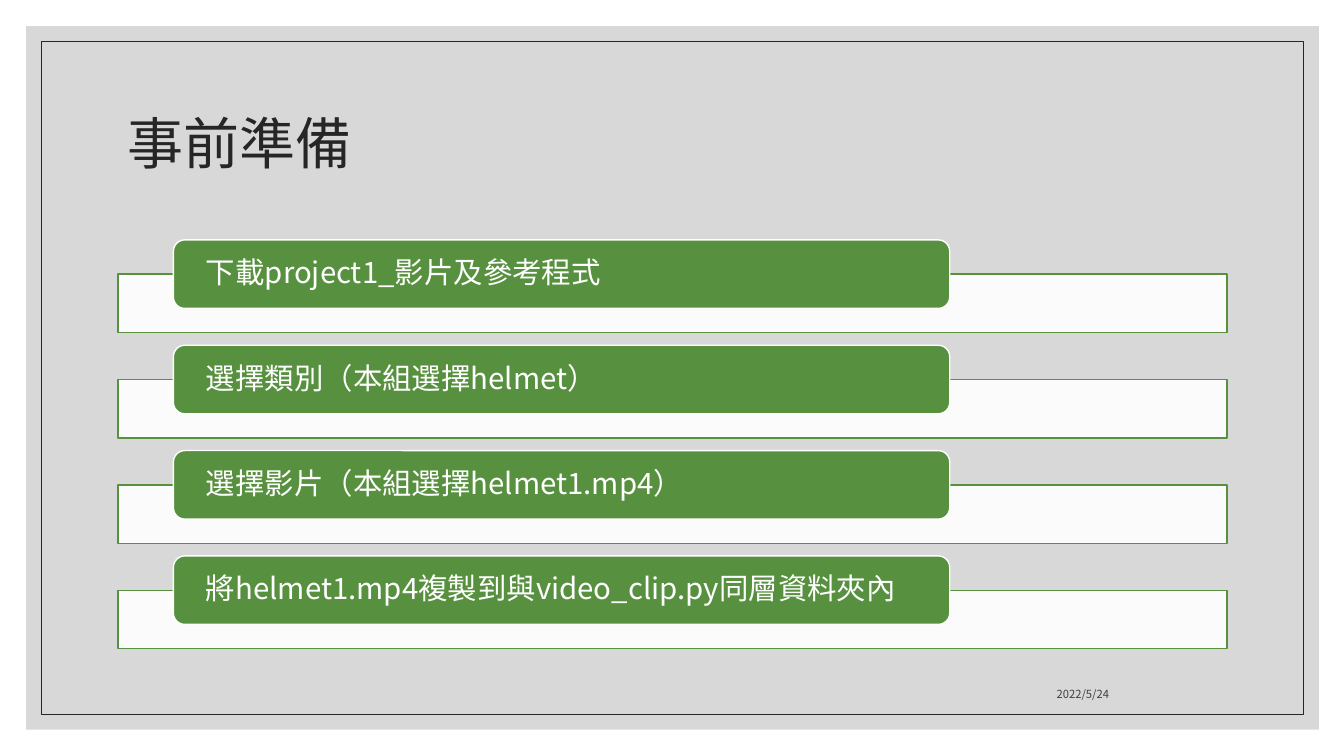
from lxml import etree
from pptx import Presentation
from pptx.dml.color import RGBColor
from pptx.enum.shapes import MSO_SHAPE
from pptx.enum.text import MSO_ANCHOR, PP_ALIGN
from pptx.oxml.ns import qn
from pptx.util import Inches, Pt

RECT = MSO_SHAPE.RECTANGLE
ROUNDED = MSO_SHAPE.ROUNDED_RECTANGLE
MIDDLE = MSO_ANCHOR.MIDDLE
BOTTOM = MSO_ANCHOR.BOTTOM
LEFT = PP_ALIGN.LEFT
RIGHT = PP_ALIGN.RIGHT

FONT_TC = "Noto Sans CJK TC"
FONT_SC = "Noto Sans CJK SC"
COLORS = {
    "panel": "BFBFBF",
    "frame": "262626",
    "date": "404040",
    "green": "57903F",
    "white": "FFFFFF",
}
STEPS = [
    "下載project1_影片及參考程式",
    "選擇類別（本組選擇helmet）",
    "選擇影片（本組選擇helmet1.mp4）",
    "將helmet1.mp4複製到與video_clip.py同層資料夾內",
]
STEP_TOP = 2.38
STEP_PITCH = 1.045


def rgb(name):
    """Return the named colour."""
    return RGBColor.from_string(COLORS[name])


def add_box(slide, kind, box, fill=None, line=None, width=1, opacity=100):
    """Add a preset shape with optional fill, outline and opacity."""
    sp = slide.shapes.add_shape(kind, *map(Inches, box))
    sp.shadow.inherit = False
    if fill:
        sp.fill.solid()
        sp.fill.fore_color.rgb = rgb(fill)
        if opacity < 100:
            color = sp.fill._xPr.find(qn("a:solidFill"))[0]
            etree.SubElement(color, qn("a:alpha"), val=str(opacity * 1000))
    else:
        sp.fill.background()
    if line:
        sp.line.color.rgb = rgb(line)
        sp.line.width = Pt(width)
    else:
        sp.line.fill.background()
    return sp


def write(sp, text, size, font, color, anchor=MIDDLE, align=LEFT):
    """Write one formatted paragraph into a shape and return it."""
    tf = sp.text_frame
    tf.word_wrap = True
    tf.vertical_anchor = anchor
    p = tf.paragraphs[0]
    p.alignment = align
    r = p.add_run()
    r.text = text
    r.font.size = Pt(size)
    r.font.name = font
    r.font.color.rgb = rgb(color)
    etree.SubElement(r.font._element, qn("a:ea"), typeface=font)
    return p


def add_step(slide, top, text):
    """Add a white bar with a green label overlapping its top edge."""
    add_box(slide, RECT, (1.17, top + 0.34, 11, 0.58), "white", "green", opacity=90)
    label = add_box(slide, ROUNDED, (1.72, top, 7.7, 0.68), "green", "white")
    tf = label.text_frame
    tf.margin_left = tf.margin_right = Inches(0.29)
    tf.margin_top = tf.margin_bottom = 0
    write(label, text, 21, FONT_SC, "white").line_spacing = 0.9


def main():
    """Build the preparation slide."""
    prs = Presentation()
    prs.slide_width = Inches(13.33)
    prs.slide_height = Inches(7.5)
    s = prs.slides.add_slide(prs.slide_layouts[6])

    add_box(s, RECT, (0.26, 0.26, 12.82, 6.98), "panel", opacity=60)
    add_box(s, RECT, (0.41, 0.41, 12.52, 6.68), line="frame", width=0.5)

    title = s.shapes.add_textbox(*map(Inches, (1.17, 0.7, 11, 1.5)))
    write(title, "事前準備", 40, FONT_TC, "frame").line_spacing = 0.9

    date = s.shapes.add_textbox(*map(Inches, (7.94, 6.6, 3.16, 0.4)))
    p = write(date, "2022/5/24", 8, FONT_TC, "date", BOTTOM, RIGHT)
    p.space_after = Pt(6)

    for i, step in enumerate(STEPS):
        add_step(s, STEP_TOP + i * STEP_PITCH, step)

    prs.save("out.pptx")


if __name__ == "__main__":
    main()
